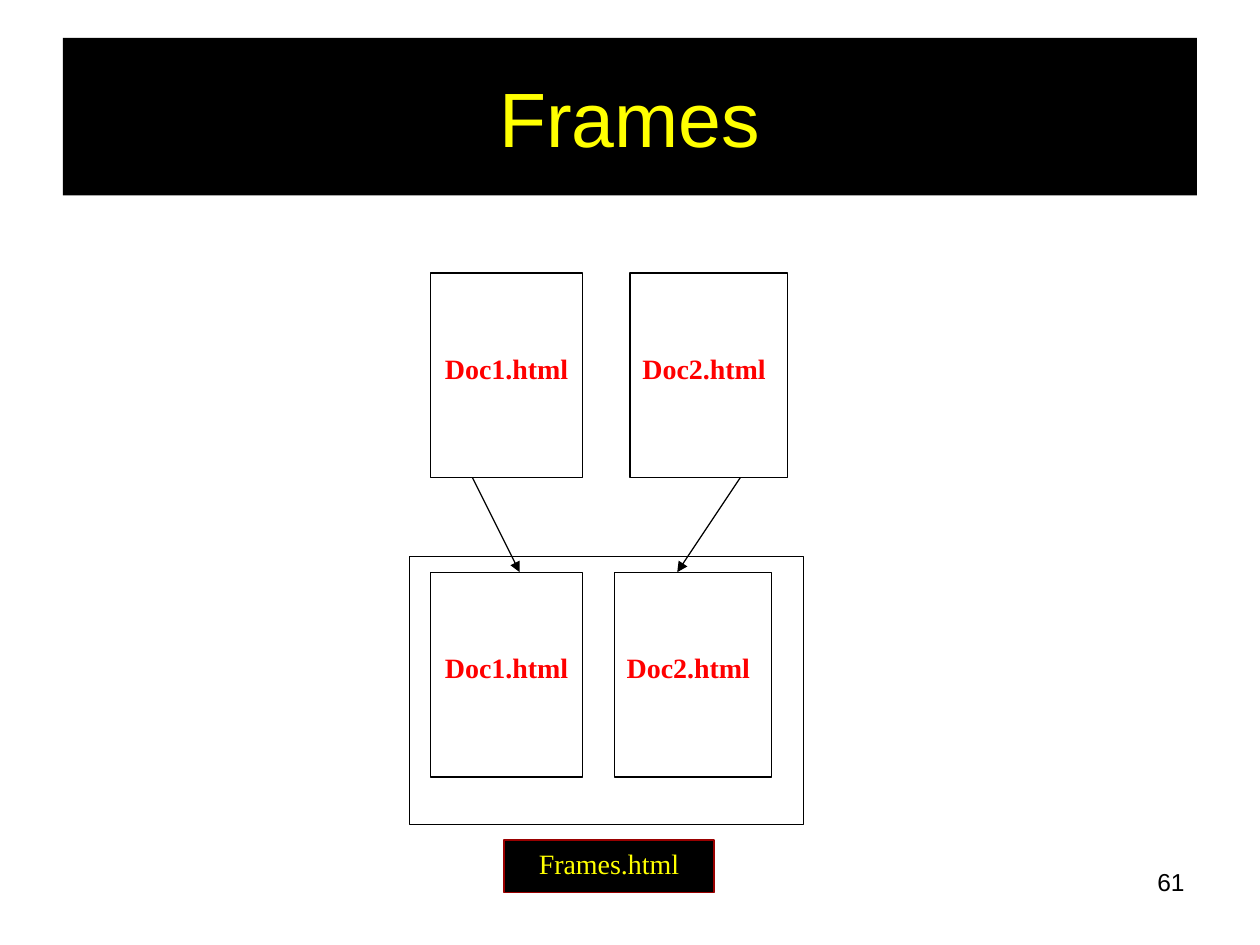
from dataclasses import dataclass

from pptx import Presentation
from pptx.dml.color import RGBColor as Color
from pptx.enum.shapes import MSO_CONNECTOR as Connector, MSO_SHAPE as Shape
from pptx.enum.text import MSO_ANCHOR as Anchor, PP_ALIGN as Align
from pptx.util import Pt
from lxml.etree import SubElement
from pptx.oxml.ns import qn


@dataclass(frozen=True)
class Theme:
    black: Color = Color(0, 0, 0)
    white: Color = Color(255, 255, 255)
    yellow: Color = Color(255, 255, 0)
    red: Color = Color(255, 0, 0)
    maroon: Color = Color(0x99, 0, 0)
    title: int = 44
    label: int = 16
    number: int = 14
    rule: float = 0.75


theme = Theme()


def write(box, text, align, size, font, color, bold=False, top=3.6, anchor=Anchor.TOP):
    frame = box.text_frame
    for name, value in {"word_wrap": True, "vertical_anchor": anchor,
                        "margin_top": Pt(top)}.items():
        setattr(frame, name, value)
    para = frame.paragraphs[0]
    para.alignment = align
    span = para.add_run()
    span.text = text
    for name, value in {"size": Pt(size), "name": font, "bold": bold}.items():
        setattr(span.font, name, value)
    span.font.color.rgb = color


def add_box(left, top, width, height, fill, line=None):
    box = page.shapes.add_shape(Shape.RECTANGLE, Pt(left), Pt(top), Pt(width), Pt(height))
    box.shadow.inherit = False
    box.fill.solid()
    box.fill.fore_color.rgb = fill
    if line is None:
        box.line.fill.background()
    else:
        box.line.color.rgb = line
        box.line.width = Pt(theme.rule)
    return box


deck = Presentation()
deck.slide_width, deck.slide_height = Pt(720), Pt(540)
page = deck.slides.add_slide(deck.slide_layouts[6])

# Slide number
number = page.shapes.add_textbox(Pt(516), Pt(492), Pt(168), Pt(37.5))
write(number, "61", Align.RIGHT, theme.number, "Arial", theme.black)

# Title band
title = add_box(36, 21.6, 648, 90, theme.black)
write(title, "Frames", Align.CENTER, theme.title, "Arial", theme.yellow, anchor=Anchor.MIDDLE)

# Frameset page and its caption
add_box(234, 318, 225, 153, theme.white, theme.black)
caption = add_box(288, 480, 120, 30, theme.black, theme.maroon)
write(caption, "Frames.html", Align.CENTER, theme.label, "Times New Roman", theme.yellow)

# Source documents above, the same documents framed below
source_top, framed_top, doc_height = 156, 327, 117
for top, second_left in ((source_top, 360), (framed_top, 351)):
    for text, left, width, align in (("Doc1.html", 246, 87, Align.CENTER),
                                     ("Doc2.html", second_left, 90, Align.LEFT)):
        document = add_box(left, top, width, doc_height, theme.white, theme.black)
        write(document, text, align, theme.label, "Times New Roman", theme.red,
              bold=True, top=45)

# Arrows from each source document to its frame
for start, end in ((270, 297), (423, 387)):
    arrow = page.shapes.add_connector(Connector.STRAIGHT, Pt(start), Pt(source_top + doc_height),
                                      Pt(end), Pt(framed_top))
    arrow.line.color.rgb = theme.black
    arrow.line.width = Pt(theme.rule)
    SubElement(arrow.line._get_or_add_ln(), qn("a:tailEnd"), type="triangle")
    SubElement(arrow._element.spPr, qn("a:effectLst"))

deck.save("out.pptx")
